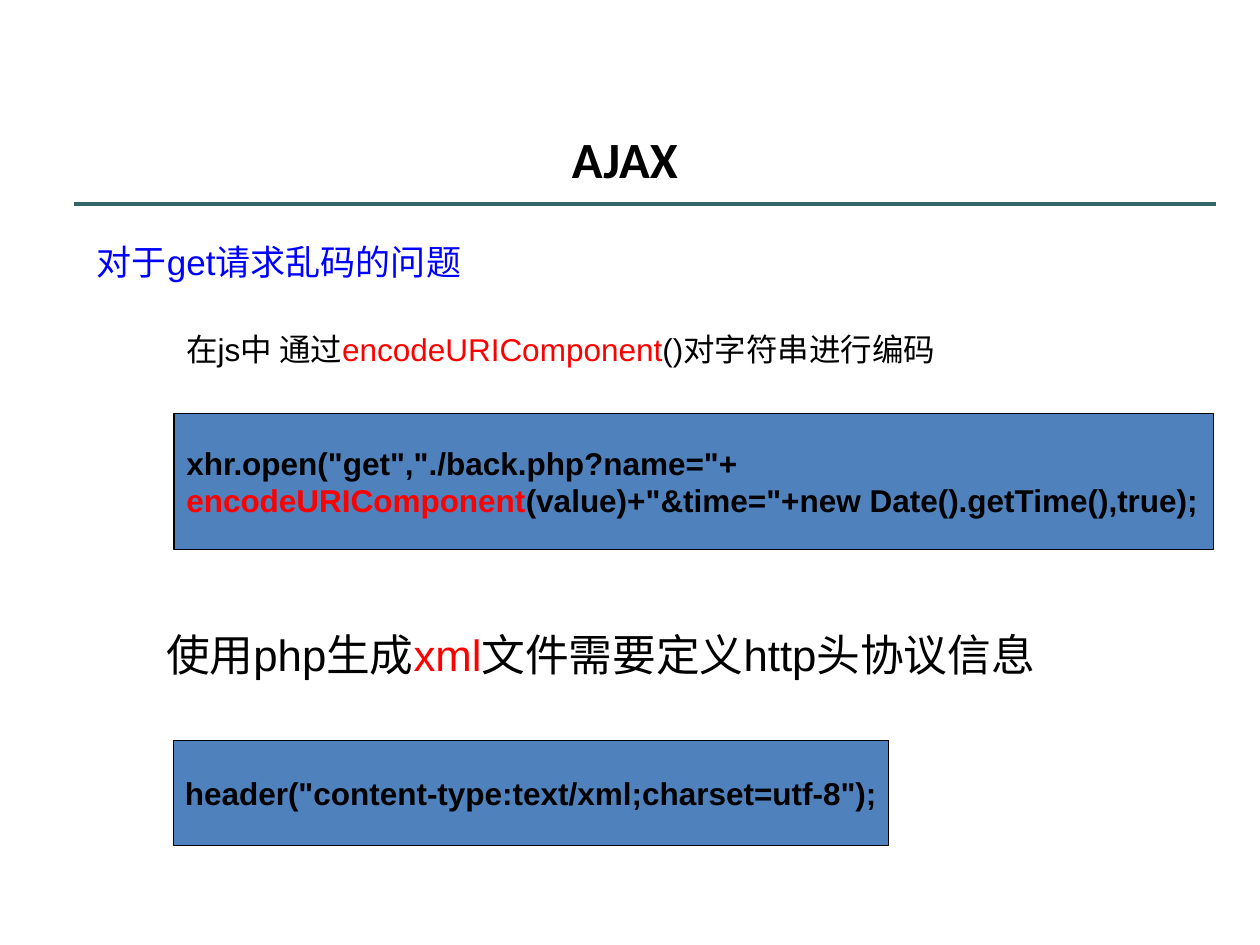
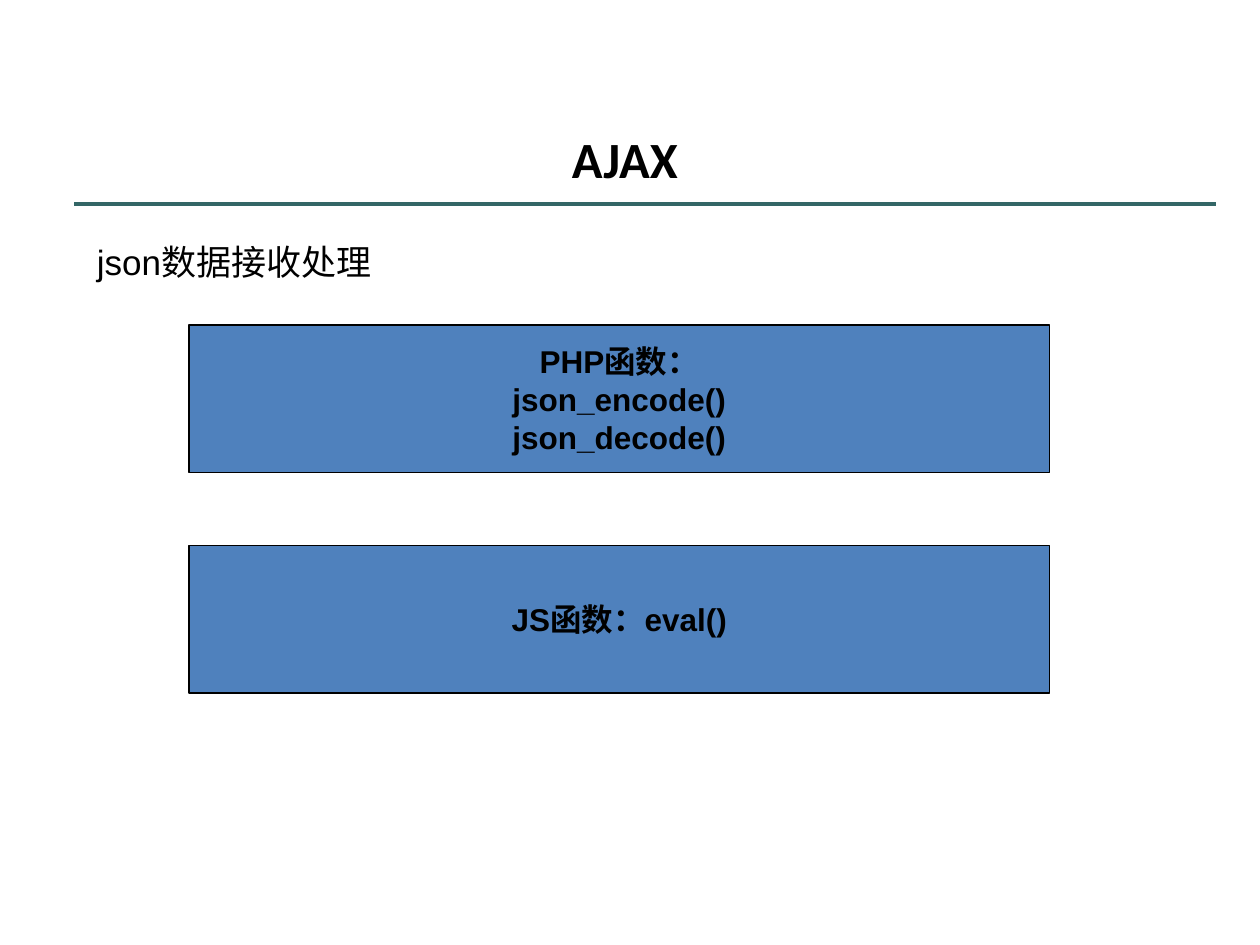
"""Build two AJAX slides on encoding and JSON handling."""
from dataclasses import dataclass

from lxml import etree
from pptx import Presentation
from pptx import util as u
from pptx.dml.color import RGBColor
from pptx.enum import shapes, text
from pptx.oxml.ns import qn

PX = 9144
LEFT, MID = text.PP_ALIGN.LEFT, text.PP_ALIGN.CENTER


@dataclass(frozen=True)
class Theme:
    ink: str = "000000"
    red: str = "FF0000"
    blue: str = "0000FF"
    fill: str = "4F81BD"
    rule: str = "336666"
    font: str = "Arial"
    head: str = "Calibri"
    title: int = 29
    note: int = 25
    topic: int = 20
    body: int = 18
    edge: float = 0.75
    bar: int = 2


T = Theme()


def color(code):
    return RGBColor.from_string(code)


def scale(*sizes):
    return [size * PX for size in sizes]


def write(frame, lines, size, align=LEFT, font=T.font, bold=False):
    """Each line is a list of (words, colour) pairs."""
    for i, line in enumerate(lines):
        para = frame.paragraphs[0] if i == 0 else frame.add_paragraph()
        para.alignment = align
        for words, tint in line:
            run = para.add_run()
            run.text = words
            run.font.name = font
            run.font.size = u.Pt(size)
            run.font.bold = bold
            run.font.color.rgb = color(tint)


def label(slide, area, line, size, **style):
    frame = slide.shapes.add_textbox(*scale(*area)).text_frame
    frame.word_wrap = True
    frame.auto_size = text.MSO_AUTO_SIZE.SHAPE_TO_FIT_TEXT
    write(frame, [line], size, **style)
    return frame


def panel(slide, area, lines, align=MID):
    box = slide.shapes.add_shape(shapes.MSO_SHAPE.RECTANGLE, *scale(*area))
    box.shadow.inherit = False
    box.fill.solid()
    box.fill.fore_color.rgb = color(T.fill)
    box.line.color.rgb = color(T.ink)
    box.line.width = u.Pt(T.edge)
    frame = box.text_frame
    frame.word_wrap = False
    frame.vertical_anchor = text.MSO_ANCHOR.MIDDLE
    write(frame, lines, T.body, align, bold=True)


def rule(slide):
    line = slide.shapes.add_connector(
        shapes.MSO_CONNECTOR.STRAIGHT, *scale(59, 162, 965, 162))
    line.line.color.rgb = color(T.rule)
    line.line.width = u.Pt(T.bar)
    etree.SubElement(line._element.spPr, qn("a:effectLst"))


def start(deck, topic, tint):
    """Add a slide with the shared title, rule and topic line."""
    slide = deck.slides.add_slide(deck.slide_layouts[6])
    frame = label(slide, (51, 84, 890, 71), [("AJAX", T.ink)], T.title,
                  align=MID, font=T.head, bold=True)
    frame.auto_size = text.MSO_AUTO_SIZE.NONE
    frame.vertical_anchor = text.MSO_ANCHOR.BOTTOM
    rule(slide)
    label(slide, (67, 186, 441, 44), [(topic, tint)], T.topic)
    return slide


def coding(deck):
    slide = start(deck, "对于get请求乱码的问题", T.blue)
    panel(slide, (138, 328, 825, 108), [
        [('xhr.open("get","./back.php?name="+', T.ink)],
        [("encodeURIComponent", T.red),
         ('(value)+"&time="+new Date().getTime(),true);', T.ink)],
    ], LEFT)
    label(slide, (138, 257, 733, 40), [
        ("在js中 通过", T.ink), ("encodeURIComponent", T.red),
        ("()对字符串进行编码", T.ink)], T.body)
    label(slide, (122, 493, 733, 94), [
        ("使用php生成", T.ink), ("xml", T.red),
        ("文件需要定义http头协议信息", T.ink)], T.note)
    panel(slide, (138, 588, 567, 83), [
        [('header("content-type:text/xml;charset=utf-8");', T.ink)]])


def json(deck):
    slide = start(deck, "json数据接收处理", T.ink)
    groups = [["PHP函数：", "json_encode()", "json_decode()"],
              ["JS函数：eval()"]]
    for i, group in enumerate(groups):
        panel(slide, (150, 258 + 175 * i, 683, 117),
              [[(words, T.ink)] for words in group])


def main():
    deck = Presentation()
    deck.slide_width, deck.slide_height = scale(1000, 750)
    coding(deck)
    json(deck)
    deck.save("out.pptx")


if __name__ == "__main__":
    main()
